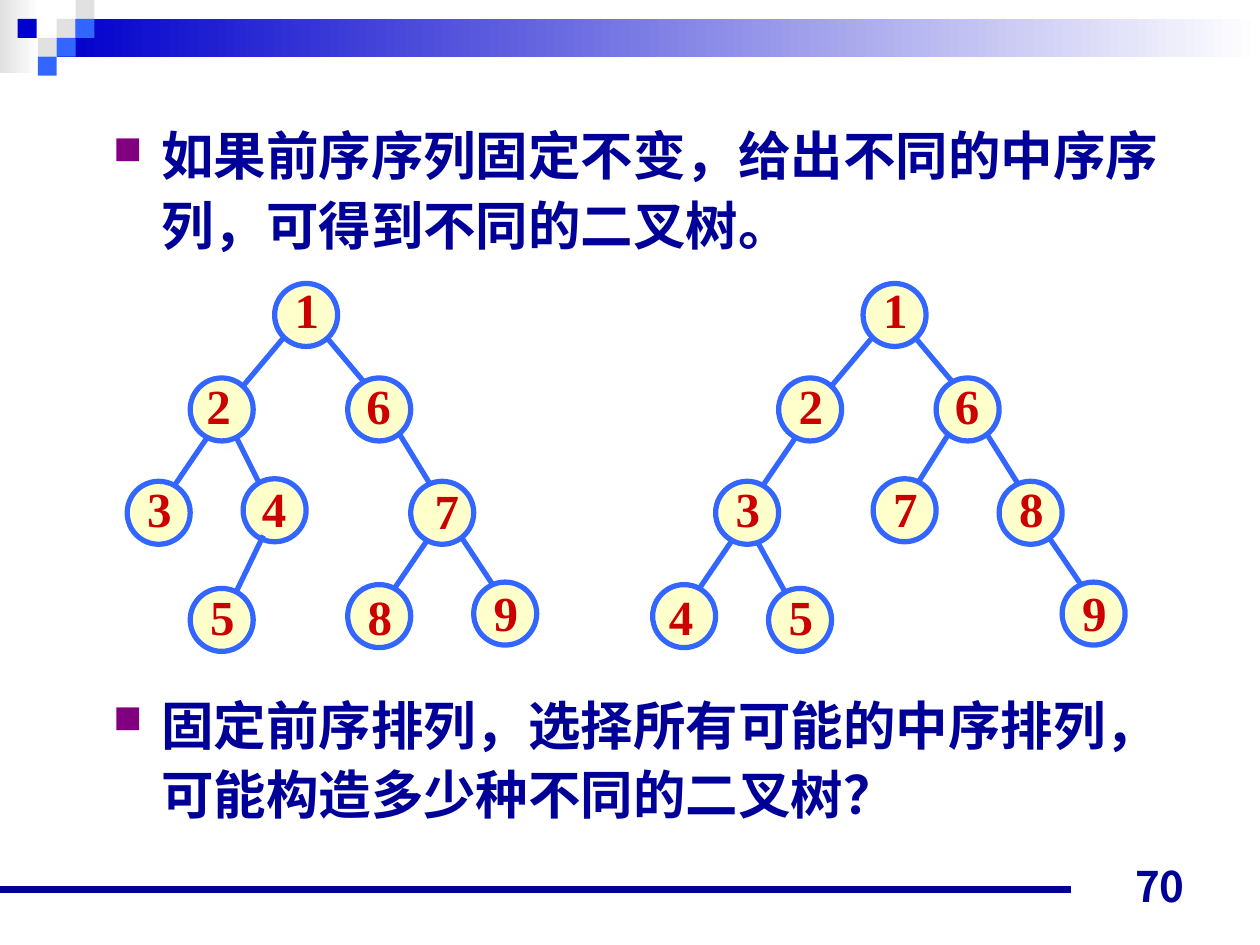
import lxml.etree
import pptx
import pptx.dml.color
import pptx.enum.shapes
import pptx.enum.text
import pptx.oxml.ns
import pptx.util

Inches = pptx.util.Inches
Pt = pptx.util.Pt
Shape = pptx.enum.shapes.MSO_SHAPE
Align = pptx.enum.text.PP_ALIGN
Anchor = pptx.enum.text.MSO_ANCHOR
qn = pptx.oxml.ns.qn

COLORS = {
    "navy": "000099", "blue": "0000CC", "sky": "3366FF", "gray": "E1E1E1",
    "white": "FFFFFF", "cream": "FFFFCC", "red": "CC0000", "plum": "800080",
}
TILE = 0.15
NODE = 0.5
LABEL = (0.39, 0.57)


class Painter:
    """Holds the style and the current slide."""

    def __init__(self, slide):
        self.slide = slide

    def color(self, name):
        return pptx.dml.color.RGBColor.from_string(COLORS[name])

    def shape(self, kind, left, top, width, height):
        shape = self.slide.shapes.add_shape(
            kind, Inches(left), Inches(top), Inches(width), Inches(height))
        shape.shadow.inherit = False
        shape.line.fill.background()
        return shape

    def tile(self, left, top, name):
        fill = self.shape(Shape.RECTANGLE, left, top, TILE, TILE).fill
        fill.solid()
        fill.fore_color.rgb = self.color(name)

    def fade(self, left, top, width, height, name):
        fill = self.shape(Shape.RECTANGLE, left, top, width, height).fill
        fill.gradient()
        fill.gradient_angle = 180
        for stop, tone in zip(fill.gradient_stops, ("white", name)):
            stop.color.rgb = self.color(tone)

    def line(self, x1, y1, x2, y2, name="sky", weight=3):
        line = self.slide.shapes.add_connector(
            pptx.enum.shapes.MSO_CONNECTOR.STRAIGHT,
            Inches(x1), Inches(y1), Inches(x2), Inches(y2))
        line.line.color.rgb = self.color(name)
        line.line.width = Pt(weight)
        props = line._element.spPr
        lxml.etree.SubElement(props, qn("a:effectLst"))

    def text(self, words, left, top, width, height, size, font, name,
             align=Align.LEFT, anchor=Anchor.TOP, wrap=True, bullet=False):
        box = self.slide.shapes.add_textbox(
            Inches(left), Inches(top), Inches(width), Inches(height))
        frame = box.text_frame
        frame.word_wrap = wrap
        frame.vertical_anchor = anchor
        par = frame.paragraphs[0]
        par.text = words
        par.alignment = align
        if bullet:
            self.bullet(par)
        par.font.size = Pt(size)
        par.font.name = font
        par.font.bold = True
        par.font.color.rgb = self.color(name)

    def bullet(self, par):
        par.line_spacing = 1.1
        props = par._p.get_or_add_pPr()
        props.set("marL", str(Inches(0.38)))
        props.set("indent", str(-Inches(0.38)))
        tint = lxml.etree.SubElement(props, qn("a:buClr"))
        lxml.etree.SubElement(tint, qn("a:srgbClr"), val=COLORS["plum"])
        lxml.etree.SubElement(props, qn("a:buSzPct"), val="75000")
        lxml.etree.SubElement(props, qn("a:buChar"), char="■")

    def node(self, digit, left, top, text_left, text_top):
        disc = self.shape(Shape.OVAL, left, top, NODE, NODE)
        disc.fill.solid()
        disc.fill.fore_color.rgb = self.color("cream")
        disc.line.color.rgb = self.color("sky")
        disc.line.width = Pt(3)
        self.text(digit, text_left, text_top, *LABEL, 28, "Times New Roman",
                  "red", Align.CENTER, Anchor.MIDDLE, wrap=False)

    def tree(self, edges, nodes):
        for edge in edges:
            self.line(*edge)
        for node in nodes:
            self.node(*node)


# Edges: x1, y1, x2, y2. Nodes: digit, disc left and top, label left and top.
LEFT_TREE = (
    [(2.26, 2.67, 1.84, 3.17), (2.51, 2.58, 2.93, 3.08),
     (1.68, 3.42, 1.34, 3.92), (1.85, 3.42, 2.1, 3.92),
     (3.1, 3.33, 3.51, 4), (3.43, 4.23, 3.09, 4.73), (3.6, 4.17, 3.93, 4.67)],
    [("1", 2.18, 2.25, 2.24, 2.17), ("2", 1.51, 3, 1.54, 2.93),
     ("6", 2.76, 3, 2.81, 2.93), ("3", 1.01, 3.82, 1.07, 3.75),
     ("4", 1.93, 3.8, 1.98, 3.75), ("7", 3.26, 3.82, 3.35, 3.76),
     ("8", 2.76, 4.64, 2.82, 4.6), ("9", 3.76, 4.62, 3.82, 4.57)],
)
# The branch to 5 overlaps disc 4, so it comes after it
LEFT_BRANCH = ([(2.09, 4.25, 1.84, 4.77)], [("5", 1.51, 4.67, 1.57, 4.6)])
RIGHT_TREE = (
    [(6.93, 2.67, 6.51, 3.17), (7.18, 2.58, 7.6, 3.08),
     (6.35, 3.42, 6.01, 3.92), (7.6, 3.33, 7.18, 4), (7.76, 3.33, 8.18, 4),
     (5.85, 4.23, 5.51, 4.73), (5.94, 4.17, 6.27, 4.77),
     (8.26, 4.17, 8.6, 4.67)],
    [("1", 6.85, 2.25, 6.91, 2.17), ("2", 6.18, 3, 6.24, 2.93),
     ("6", 7.43, 3, 7.48, 2.93), ("3", 5.68, 3.82, 5.74, 3.75),
     ("7", 6.93, 3.8, 6.99, 3.75), ("8", 7.93, 3.82, 7.99, 3.75),
     ("4", 5.18, 4.64, 5.21, 4.6), ("5", 6.1, 4.67, 6.16, 4.6),
     ("9", 8.43, 4.62, 8.49, 4.57)],
)
TILES = [
    (0.45, 0.15, "gray"), (0.6, 0, "gray"), (0.6, 0.15, "sky"),
    (0.3, 0.3, "gray"), (0.14, 0.15, "blue"), (0.45, 0.3, "sky"),
    (0.3, 0.45, "sky"),
]
POINTS = [
    ("如果前序序列固定不变，给出不同的中序序列，可得到不同的二叉树。", 0.88, "Arial"),
    ("固定前序排列，选择所有可能的中序排列，可能构造多少种不同的二叉树？", 5.4,
     "Noto Sans CJK SC"),
]


def main():
    deck = pptx.Presentation()
    deck.slide_width = Inches(10)
    deck.slide_height = Inches(7.5)
    pen = Painter(deck.slides.add_slide(deck.slide_layouts[6]))

    # Header band and footer rule
    pen.fade(0, 0, 0.31, 0.58, "gray")
    pen.fade(0.45, 0.15, 9.55, 0.3, "blue")
    for tile in TILES:
        pen.tile(*tile)
    pen.line(0, 7.06, 8.5, 7.06, "navy", 4.5)

    # Bullet points above and below the trees
    for words, top, font in POINTS:
        pen.text(words, 0.8, top, 8.68, 1.2, 30, font, "navy", bullet=True)

    # Binary trees
    for edges, nodes in (LEFT_TREE, LEFT_BRANCH, RIGHT_TREE):
        pen.tree(edges, nodes)

    # Page number
    pen.text("70", 7.17, 6.78, 2.33, 0.5, 24, "Noto Sans CJK JP", "navy",
             Align.RIGHT, Anchor.BOTTOM)

    deck.save("out.pptx")


if __name__ == "__main__":
    main()
